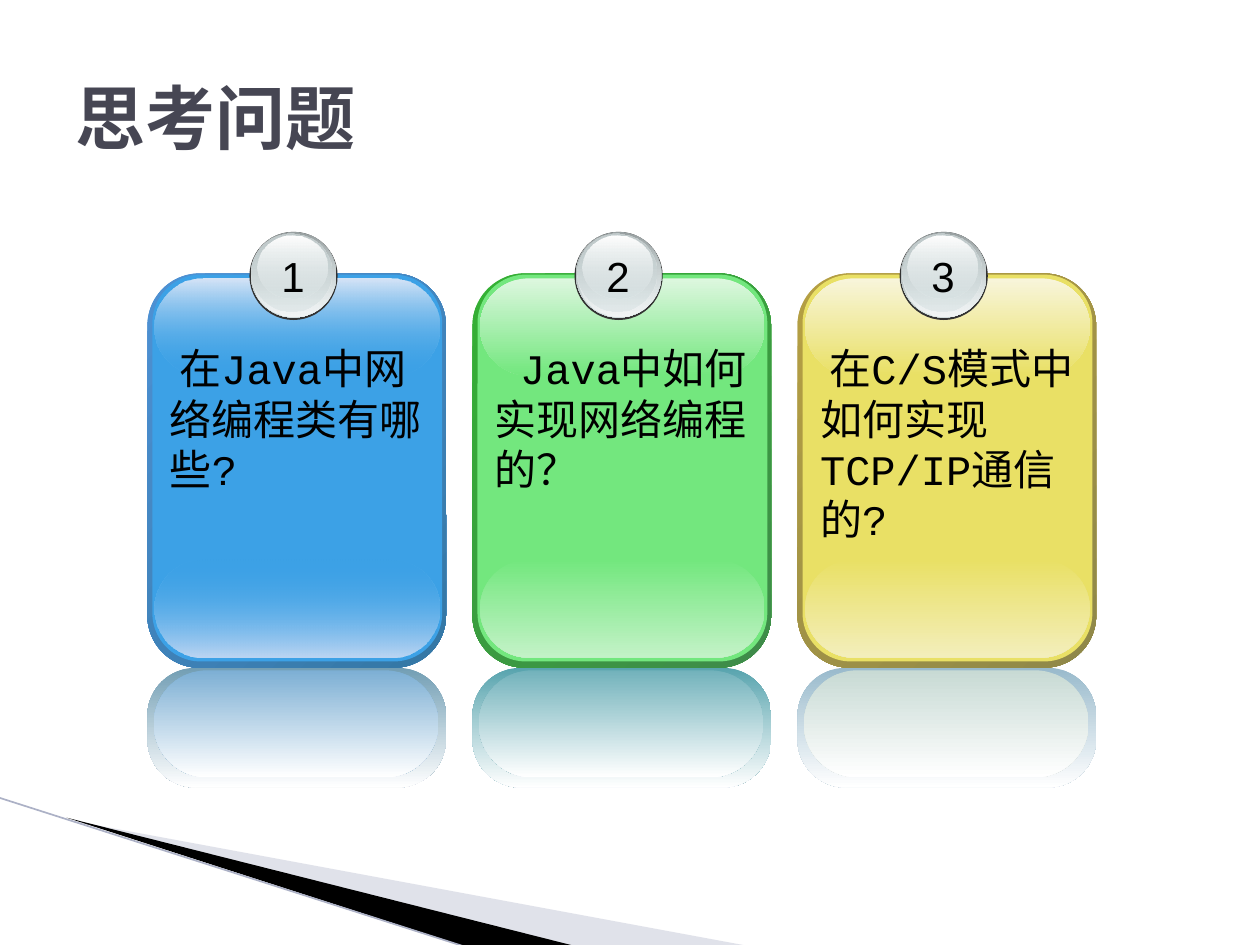
"""Slide of three numbered glossy question cards above a swoosh."""
from pptx import Presentation, util as u
from pptx.dml.color import RGBColor
from pptx.enum import shapes, text
from pptx.oxml.ns import qn
from lxml import etree

BLACK, WHITE = RGBColor(0, 0, 0), RGBColor(255, 255, 255)
TITLE = RGBColor(0x46, 0x46, 0x53)
SWOOSH = RGBColor(0xB3, 0xB7, 0xCB)
EDGE = RGBColor(0xAC, 0xB1, 0xC6)
RIM = RGBColor(0x33, 0x33, 0x33)
STEEL = RGBColor(0x99, 0xA1, 0xA2)
SILVER = RGBColor(0xD6, 0xE1, 0xE2)
PEARL = RGBColor(0xF2, 0xF5, 0xF5)
GREY = RGBColor(0xC1, 0xCB, 0xCC)

CARDS = [
    dict(question=" 在Java中网络编程类有哪些?", body="3CA1E6", border=("4E91D4", "3477A4"),
         top="D7E5F7", bottom="BDD6F3", mirror=("729EB4", "7DAFD4"), fade=0),
    dict(question=" Java中如何实现网络编程的？", body="73E77E", border=("34B034", "3F8B4A"),
         top="DDF7DF", bottom="C3F2C7", mirror=("58A4AE", "72B2BB"), fade=100),
    dict(question=" 在C/S模式中如何实现TCP/IP通信的?", body="E9E065", border=("B59F43", "8F8849"),
         top="F8F5DB", bottom="F3EEBB", mirror=("99BACC", "C8DAD4"), fade=100),
]
BALL = [
    ((0.81, 1.84, 0.7, 0.7), [(RIM, 100)]),
    ((0.82, 1.84, 0.68, 0.68), [(STEEL, 100), (SILVER, 100)]),
    ((0.83, 1.85, 0.66, 0.66), [(SILVER, 0), (PEARL, 100)]),
    ((0.83, 1.85, 0.63, 0.62), [(GREY, 100), (SILVER, 48)]),
    ((0.87, 1.87, 0.56, 0.5), [(WHITE, 100), (SILVER, 38)]),
]
SWOOSHES = [
    ([(0.55, 6.51), (5.95, 7.51), (4.56, 7.51)], SWOOSH, 40),
    ([(0.53, 6.49), (4.57, 7.51), (3.72, 7.52)], BLACK, 100),
]
LEFT, PITCH = 1.17, 2.58


def inches(*values):
    return [u.Inches(v) for v in values]


def set_alpha(color_element, percent):
    if percent < 100:
        etree.SubElement(color_element, qn("a:alpha")).set("val", str(percent * 1000))


def paint(sp, colors, angle=90):
    sp.shadow.inherit = False
    sp.line.fill.background()
    if len(colors) == 1:
        sp.fill.solid()
        sp.fill.fore_color.rgb = colors[0][0]
    else:
        sp.fill.gradient()
        sp.fill.gradient_angle = 360 - angle
        for stop, (color, _), position in zip(sp.fill.gradient_stops, colors, (0, 1)):
            stop.color.rgb = color
            stop.position = position
    for element, (_, alpha) in zip(sp._element.spPr.iter(qn("a:srgbClr")), colors):
        set_alpha(element, alpha)


def add_shape(parent, kind, box, colors, radius=None, angle=90):
    sp = parent.add_shape(kind, *inches(*box))
    if radius is not None:
        sp.adjustments[0] = radius
    paint(sp, colors, angle)


def add_text(parent, box, words, font, size, color=BLACK, bold=False, wrap=True, grow=True):
    sp = parent.add_textbox(*inches(*box))
    tf = sp.text_frame
    tf.text = words
    tf.word_wrap = wrap
    tf.auto_size = text.MSO_AUTO_SIZE.SHAPE_TO_FIT_TEXT if grow else text.MSO_AUTO_SIZE.NONE
    r = tf.paragraphs[0].runs[0]
    r.font.name, r.font.size, r.font.bold = font, u.Pt(size), bold
    r.font.color.rgb = color
    return tf


def add_card(s, number, card):
    x = LEFT + PITCH * (number - 1)
    body, top, bottom, edge, inner = (
        RGBColor.from_string(c) for c in (card["body"], card["top"], card["bottom"], *card["mirror"]))
    border = [(RGBColor.from_string(c), 100) for c in card["border"]]
    clear = (body, card["fade"])
    panels = [
        ((0, 2.17, 2.37, 3.13), 0.175, border, 45),
        ((0.04, 2.18, 2.3, 3.07), 0.167, [(body, 100)], 90),
        ((0.06, 4.44, 2.26, 0.78), 0.5, [clear, (bottom, 100)], 90),
        ((0.06, 2.21, 2.26, 0.77), 0.5, [(top, 100), clear], 90),
        ((0, 5.3, 2.37, 0.95), 0.404, [(edge, 100), (WHITE, 100)], 90),
        ((0.05, 5.32, 2.26, 0.85), 0.5, [(inner, 100), (WHITE, 100)], 90),
    ]
    group = s.shapes.add_group_shape().shapes
    for (dx, *rest), radius, colors, angle in panels:
        add_shape(group, shapes.MSO_SHAPE.ROUNDED_RECTANGLE, (x + dx, *rest), colors, radius, angle)
    for (dx, *rest), colors in BALL:
        add_shape(group, shapes.MSO_SHAPE.OVAL, (x + dx, *rest), colors)
    tf = add_text(group, (x + 0.96, 1.94, 0.39, 0.5), str(number), "Arial", 24, wrap=False)
    tf.paragraphs[0].alignment = text.PP_ALIGN.CENTER
    add_text(group, (x + 0.08, 2.67, 2.25, 1.31), card["question"], "Courier New", 24)


prs = Presentation()
prs.slide_width, prs.slide_height = inches(10, 7.5)
s = prs.slides.add_slide(prs.slide_layouts[6])

for points, color, alpha in SWOOSHES:
    start, *others = [inches(*point) for point in points]
    builder = s.shapes.build_freeform(*start, scale=1.0)
    builder.add_line_segments(others, close=True)
    paint(builder.convert_to_shape(), [(color, alpha)])

edge = s.shapes.add_connector(shapes.MSO_CONNECTOR.STRAIGHT, *inches(-0.01, 6.33, 3.71, 7.52))
edge.line.color.rgb, edge.line.width = EDGE, u.Pt(0.95)
etree.SubElement(edge._element.spPr, qn("a:effectLst"))

heading = add_text(s.shapes, (0.5, 0.3, 9, 1.25), "思考问题", "Calibri", 40, TITLE, True, grow=False)
heading.vertical_anchor = text.MSO_ANCHOR.MIDDLE

for number, card in enumerate(CARDS, 1):
    add_card(s, number, card)

prs.save("out.pptx")
